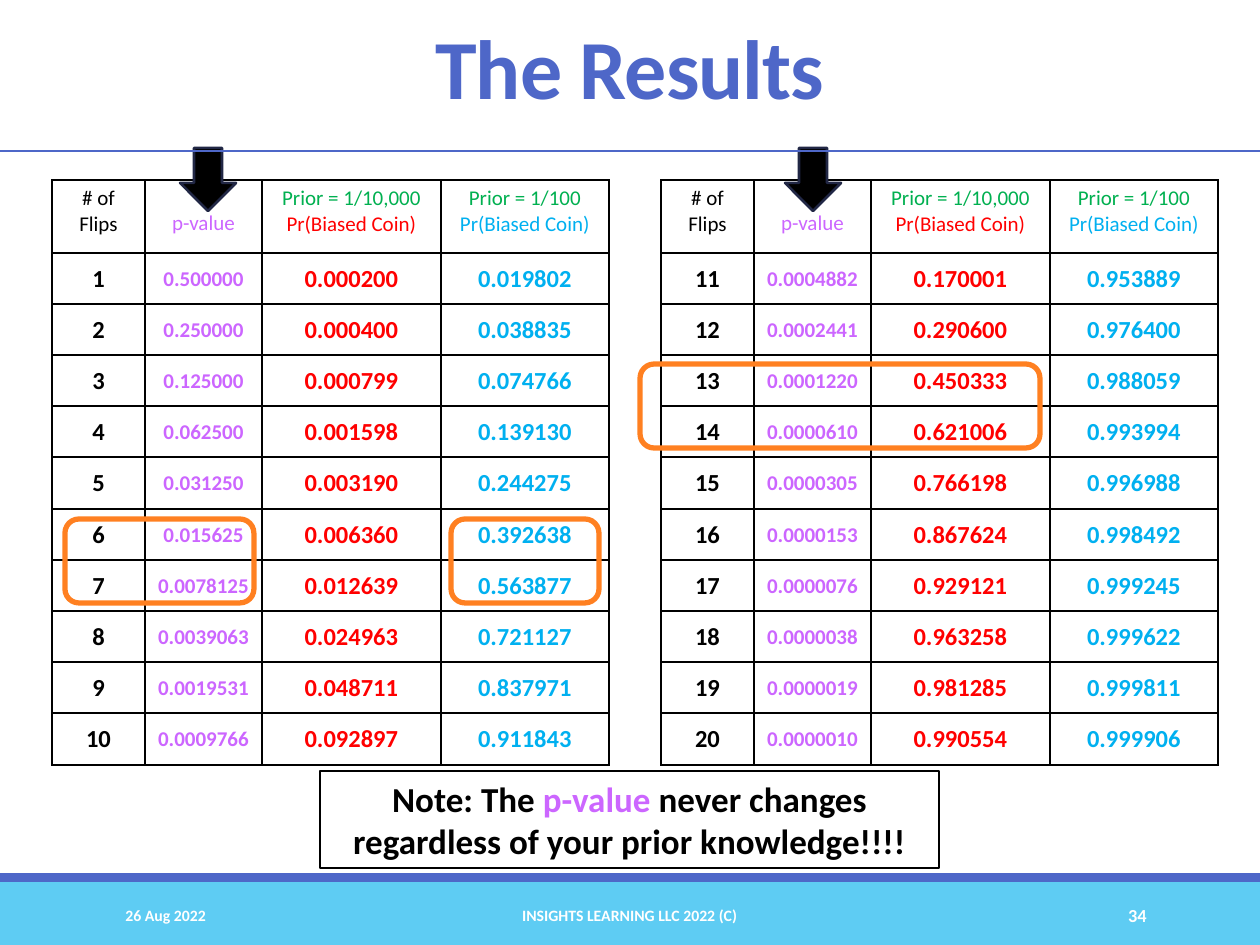
"""Build the coin-flip results slide with its two probability tables."""
from dataclasses import dataclass
from typing import Any

from lxml import etree
from pptx import Presentation
from pptx import util as u
from pptx.dml import color
from pptx.enum import shapes, text
from pptx.oxml import ns

BLACK, WHITE, BLUE, SKY = "000000", "FFFFFF", "4E67C8", "5ECCF3"
VIOLET, GREEN, RED, CYAN, ORANGE = "CC66FF", "00B050", "FF0000", "00B0F0", "FF8021"
NAVY = "212745"
LEFT, CENTER, RIGHT = text.PP_ALIGN.LEFT, text.PP_ALIGN.CENTER, text.PP_ALIGN.RIGHT
TOP, MIDDLE = text.MSO_ANCHOR.TOP, text.MSO_ANCHOR.MIDDLE
SHAPE = shapes.MSO_SHAPE

COLUMN_WIDTHS = [93, 117, 179, 168]
COLUMN_COLORS = [BLACK, VIOLET, RED, CYAN]
COLUMN_SIZES = [14, 12, 14, 14]
HEADER_HEIGHT, BODY_HEIGHT = 73, 512
HEADER = [
    [[("# of Flips", BLACK)]],
    [[("p-value", VIOLET)]],
    [[("Prior = 1/10,000", GREEN)], [("Pr(Biased Coin)", RED)]],
    [[("Prior = 1/100", GREEN)], [("Pr(Biased Coin)", CYAN)]],
]
HEADER_MARGINS = [(13, 6, 13, 6), (13, 31, 13, 6), (13, 6, 13, 6), (13, 6, 13, 6)]
BODY_MARGINS = (1, 1, 1, 0)

FIRST_FLIPS = [
    ("1", "0.500000", "0.000200", "0.019802"),
    ("2", "0.250000", "0.000400", "0.038835"),
    ("3", "0.125000", "0.000799", "0.074766"),
    ("4", "0.062500", "0.001598", "0.139130"),
    ("5", "0.031250", "0.003190", "0.244275"),
    ("6", "0.015625", "0.006360", "0.392638"),
    ("7", "0.0078125", "0.012639", "0.563877"),
    ("8", "0.0039063", "0.024963", "0.721127"),
    ("9", "0.0019531", "0.048711", "0.837971"),
    ("10", "0.0009766", "0.092897", "0.911843"),
]
LATER_FLIPS = [
    ("11", "0.0004882", "0.170001", "0.953889"),
    ("12", "0.0002441", "0.290600", "0.976400"),
    ("13", "0.0001220", "0.450333", "0.988059"),
    ("14", "0.0000610", "0.621006", "0.993994"),
    ("15", "0.0000305", "0.766198", "0.996988"),
    ("16", "0.0000153", "0.867624", "0.998492"),
    ("17", "0.0000076", "0.929121", "0.999245"),
    ("18", "0.0000038", "0.963258", "0.999622"),
    ("19", "0.0000019", "0.981285", "0.999811"),
    ("20", "0.0000010", "0.990554", "0.999906"),
]


def px(length):
    return u.Emu(round(length * 914400 / 126))


def rgb(value):
    return color.RGBColor.from_string(value)


@dataclass
class Painter:
    page: Any
    font: str = "Calibri"

    def fill_text(self, frame, lines, size, bold=True, align=CENTER, anchor=MIDDLE):
        frame.word_wrap = True
        frame.vertical_anchor = anchor
        for index, spans in enumerate(lines):
            para = frame.add_paragraph() if index else frame.paragraphs[0]
            para.alignment = align
            for words, tint in spans:
                span = para.add_run()
                span.text = words
                span.font.name = self.font
                span.font.size = u.Pt(size)
                span.font.bold = bold
                span.font.color.rgb = rgb(tint)

    def title(self, words, place):
        box = self.page.shapes.title
        box.left, box.top, box.width, box.height = map(px, place)
        self.fill_text(box.text_frame, [[(words, BLUE)]], 48)
        box.text_frame.auto_size = text.MSO_AUTO_SIZE.NONE
        para = box.text_frame.paragraphs[0]
        para.line_spacing = 0.85
        para.runs[0].font._element.set("spc", "-50")

    def shape(self, kind, place, fill=None, line=None, weight=1):
        box = self.page.shapes.add_shape(kind, *map(px, place))
        box.shadow.inherit = False
        if fill:
            box.fill.solid()
            box.fill.fore_color.rgb = rgb(fill)
        else:
            box.fill.background()
        if line:
            box.line.color.rgb = rgb(line)
            box.line.width = u.Pt(weight)
        else:
            box.line.fill.background()
        return box

    def label(self, words, place, size, align):
        box = self.page.shapes.add_textbox(*map(px, place))
        self.fill_text(box.text_frame, [[(words, WHITE)]], size, align=align)

    def rule(self, left, right, top):
        line = self.page.shapes.add_connector(
            shapes.MSO_CONNECTOR.STRAIGHT, px(left), px(top), px(right), px(top))
        line.line.color.rgb = rgb(BLUE)
        line.line.width = u.Pt(1)
        etree.SubElement(line._element.spPr, ns.qn("a:effectLst"))

    def cell(self, cell, lines, size, bold, anchor, margins):
        (cell.margin_left, cell.margin_top,
         cell.margin_right, cell.margin_bottom) = map(px, margins)
        self.fill_text(cell.text_frame, lines, size, bold)
        cell.vertical_anchor = anchor
        properties = cell._tc.get_or_add_tcPr()
        for side in ("lnL", "lnR", "lnT", "lnB"):
            border = etree.SubElement(properties, ns.qn(f"a:{side}"), w=str(u.Pt(1)))
            solid = etree.SubElement(border, ns.qn("a:solidFill"))
            etree.SubElement(solid, ns.qn("a:srgbClr"), val=BLACK)
        cell.fill.solid()
        cell.fill.fore_color.rgb = rgb(WHITE)

    def table(self, left, top, rows):
        grid = self.page.shapes.add_table(
            len(rows) + 1, len(HEADER), px(left), px(top),
            px(sum(COLUMN_WIDTHS)), px(HEADER_HEIGHT + BODY_HEIGHT)).table
        grid.first_row = grid.horz_banding = False
        for column, width in zip(grid.columns, COLUMN_WIDTHS):
            column.width = px(width)
        edges = [BODY_HEIGHT * index // len(rows) for index in range(len(rows) + 1)]
        heights = [HEADER_HEIGHT] + [low - high for high, low in zip(edges, edges[1:])]
        for row, height in zip(grid.rows, heights):
            row.height = px(height)
        for column, lines in enumerate(HEADER):
            self.cell(grid.cell(0, column), lines, 12, False, TOP, HEADER_MARGINS[column])
        for number, values in enumerate(rows, 1):
            for column, value in enumerate(values):
                self.cell(grid.cell(number, column), [[(value, COLUMN_COLORS[column])]],
                          COLUMN_SIZES[column], True, MIDDLE, BODY_MARGINS)


def main():
    deck = Presentation()
    deck.slide_width, deck.slide_height = px(1260), px(945)
    painter = Painter(deck.slides.add_slide(deck.slide_layouts[5]))

    painter.shape(SHAPE.RECTANGLE, (0, 882, 1260, 63), SKY)
    painter.shape(SHAPE.RECTANGLE, (0, 873, 1260, 9), BLUE)
    painter.title("The Results", (110, 20, 1040, 108))

    for left, rows in ((52, FIRST_FLIPS), (661, LATER_FLIPS)):
        painter.table(left, 180, rows)

    note = painter.shape(SHAPE.RECTANGLE, (320, 771, 619, 97), WHITE, BLACK, 0.75)
    painter.fill_text(note.text_frame, [
        [("Note: The ", BLACK), ("p-value", VIOLET), (" never changes", BLACK)],
        [("regardless of your prior knowledge!!!!", BLACK)],
    ], 20)

    for left in (180, 785):
        painter.shape(SHAPE.DOWN_ARROW, (left, 148, 56, 63), BLACK, NAVY, 1.5)
    for left, top, width in ((65, 519, 189), (640, 364, 400), (451, 519, 148)):
        painter.shape(SHAPE.ROUNDED_RECTANGLE, (left, top, width, 84), None, ORANGE, 3)

    painter.label("26 Aug 2022", (113, 890, 256, 50), 9, LEFT)
    painter.label("INSIGHTS LEARNING LLC 2022 (C)", (380, 890, 499, 50), 9, CENTER)
    painter.label("34", (1023, 890, 136, 50), 10.5, RIGHT)
    painter.rule(0, 1260, 151)

    deck.save("out.pptx")


if __name__ == "__main__":
    main()
